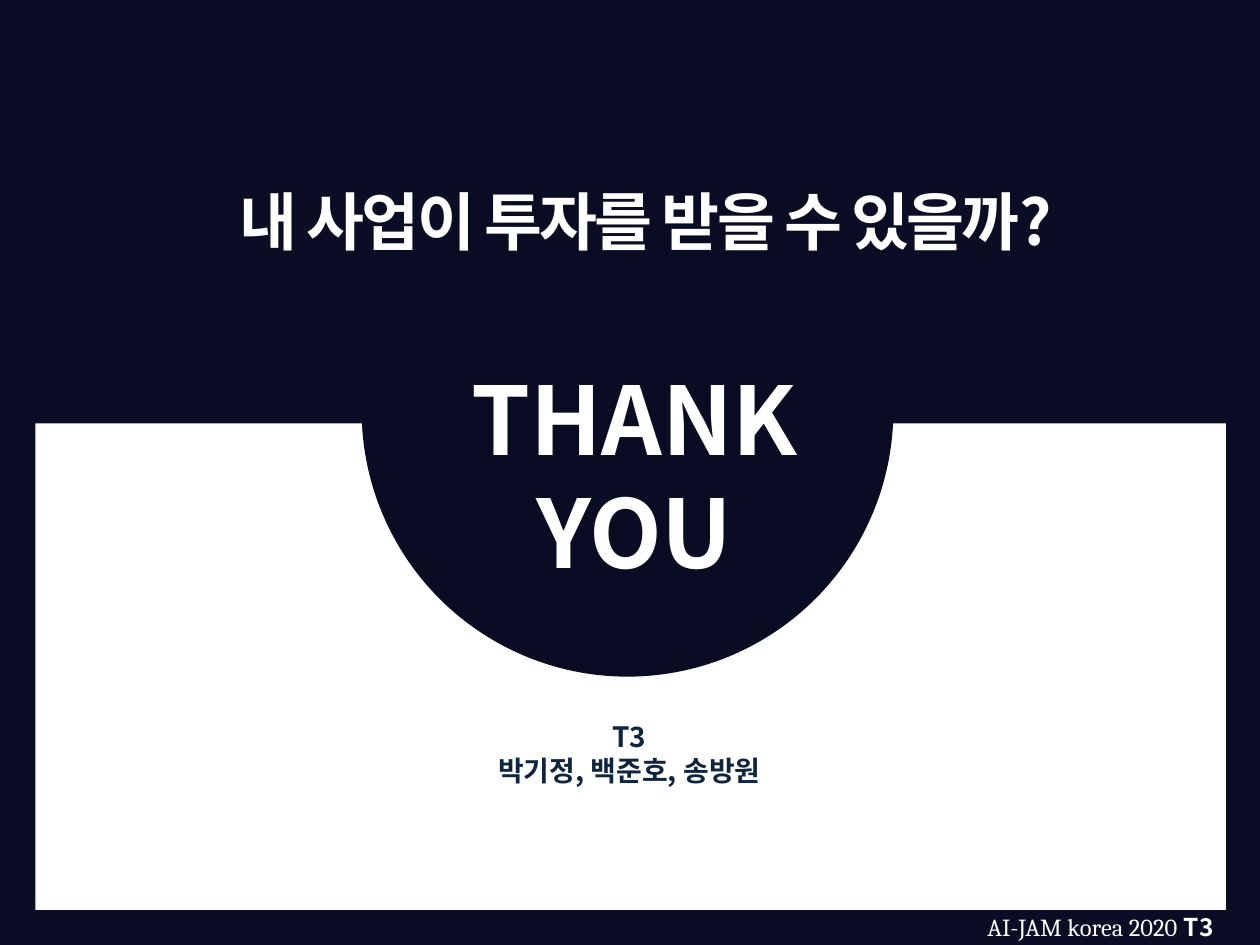
from dataclasses import dataclass, replace

from lxml.etree import SubElement
from pptx import Presentation
from pptx.dml.color import RGBColor
from pptx.enum.shapes import MSO_SHAPE as Shape
from pptx.enum.text import MSO_ANCHOR as Anchor, MSO_AUTO_SIZE as AutoSize, PP_ALIGN as Align
from pptx.oxml.ns import qn
from pptx.util import Inches, Pt

NAVY = RGBColor(0x0A, 0x0D, 0x24)
CIRCLE_NAVY = RGBColor(0x09, 0x0C, 0x23)
TEAM_BLUE = RGBColor(0x0F, 0x24, 0x3E)
WHITE = RGBColor(0xFF, 0xFF, 0xFF)
SANS = "Noto Sans CJK KR"
SERIF = "Cambria"
TITLE_ONLY = 5


@dataclass(frozen=True)
class TextStyle:
    size: float
    color: RGBColor = WHITE
    name: str = SANS
    bold: bool = True
    spacing: int = 0

    def apply(self, font):
        font.size = Pt(self.size)
        font.bold = self.bold
        font.color.rgb = self.color
        font.name = self.name
        properties = font._element
        SubElement(properties, qn("a:ea")).set("typeface", self.name)
        if self.spacing:
            properties.set("spc", str(self.spacing))


class SlideBuilder:
    def __init__(self, presentation, background):
        self.width = presentation.slide_width
        self.height = presentation.slide_height
        self.slide = presentation.slides.add_slide(presentation.slide_layouts[TITLE_ONLY])
        fill = self.slide.background.fill
        fill.solid()
        fill.fore_color.rgb = background

    def box(self, left, top, width, height):
        return (round(left * self.width), round(top * self.height),
                round(width * self.width), round(height * self.height))

    def panel(self, kind, area, color):
        shape = self.slide.shapes.add_shape(kind, *self.box(*area))
        shape.shadow.inherit = False
        shape.fill.solid()
        shape.fill.fore_color.rgb = color
        shape.line.fill.background()

    def text(self, area, lines, align=Align.CENTER):
        self.set_lines(self.slide.shapes.add_textbox(*self.box(*area)), lines, align)

    def title(self, area, runs):
        shape = self.slide.shapes.title
        shape.left, shape.top, shape.width, shape.height = self.box(*area)
        shape.element.getparent().append(shape.element)
        self.set_lines(shape, [runs], Align.CENTER)

    def set_lines(self, shape, lines, align):
        frame = shape.text_frame
        frame.word_wrap = True
        frame.auto_size = AutoSize.SHAPE_TO_FIT_TEXT
        frame.vertical_anchor = Anchor.TOP
        for index, runs in enumerate(lines):
            paragraph = frame.add_paragraph() if index else frame.paragraphs[0]
            paragraph.alignment = align
            for content, style in runs:
                run = paragraph.add_run()
                run.text = content
                if len(runs) > 1:
                    style.apply(run.font)
            if len(runs) == 1:
                style.apply(paragraph.font)


def main():
    presentation = Presentation()
    presentation.slide_width = Inches(10)
    presentation.slide_height = Inches(7.5)

    thanks = TextStyle(54)
    team = TextStyle(16, TEAM_BLUE)
    event = TextStyle(14, name=SERIF, bold=False)
    question = TextStyle(36, spacing=-150)

    builder = SlideBuilder(presentation, NAVY)
    builder.panel(Shape.RECTANGLE, (0.028, 0.448, 0.945, 0.515), WHITE)
    builder.panel(Shape.OVAL, (0.287, 0.153, 0.422, 0.563), CIRCLE_NAVY)
    builder.text((0.295, 0.375, 0.417, 0.256), [[(word, thanks)] for word in ("THANK", "YOU")])
    builder.text((0.35, 0.755, 0.299, 0.085),
                 [[(line, team)] for line in ("T3", "박기정, 백준호, 송방원")])
    builder.text((0.697, 0.955, 0.276, 0.085),
                 [[("AI-JAM korea 2020", event), (" ", replace(event, size=16)),
                   ("T3", TextStyle(14))]], Align.RIGHT)
    builder.title((0.056, 0.153, 0.896, 0.135),
                  [(" ", replace(question, size=54)), ("내 사업이 투자를 받을 수 있을까?", question)])
    presentation.save("out.pptx")


if __name__ == "__main__":
    main()
